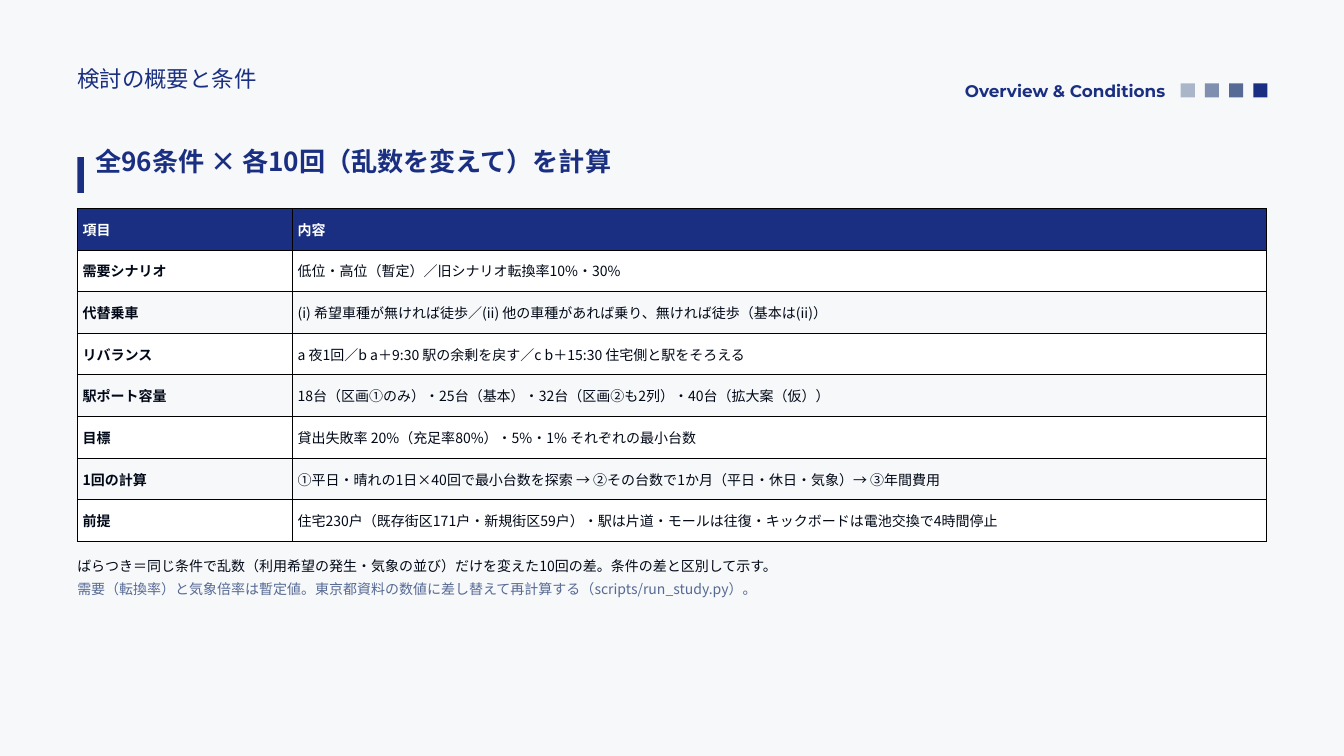
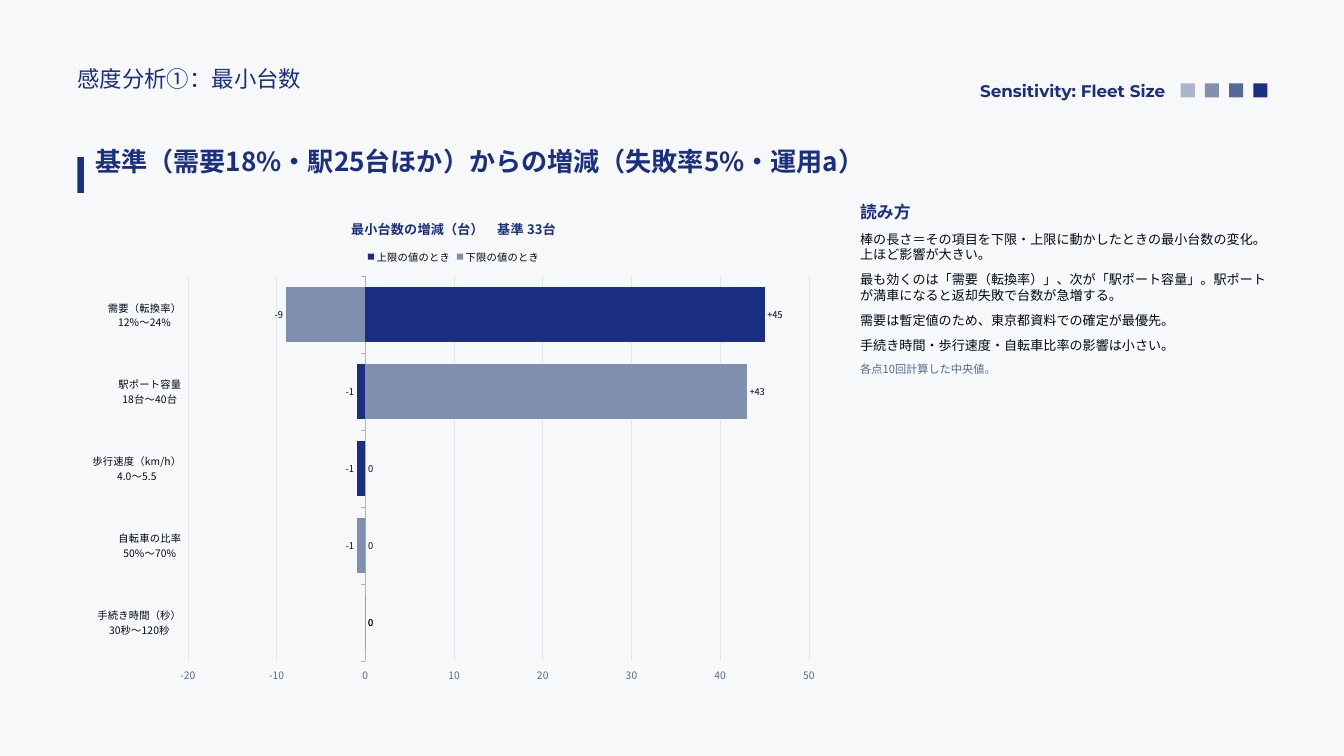
from dataclasses import dataclass
from lxml import etree
from pptx import Presentation
from pptx.chart.data import CategoryChartData
from pptx.dml.color import RGBColor
from pptx.enum.chart import (XL_CHART_TYPE, XL_LABEL_POSITION, XL_LEGEND_POSITION,
                             XL_TICK_LABEL_POSITION, XL_TICK_MARK)
from pptx.enum.shapes import MSO_SHAPE
from pptx.enum.text import MSO_ANCHOR, MSO_AUTO_SIZE, PP_ALIGN
from pptx.oxml.ns import qn
from pptx.util import Inches, Pt

RECT = MSO_SHAPE.RECTANGLE
BARS = XL_CHART_TYPE.BAR_CLUSTERED
TOP = XL_LEGEND_POSITION.TOP
LOW = XL_TICK_LABEL_POSITION.LOW
TICK = XL_TICK_MARK.OUTSIDE
END = XL_LABEL_POSITION.OUTSIDE_END
MIDDLE = MSO_ANCHOR.MIDDLE
GROW = MSO_AUTO_SIZE.SHAPE_TO_FIT_TEXT
LEFT, RIGHT = PP_ALIGN.LEFT, PP_ALIGN.RIGHT


@dataclass(frozen=True)
class Theme:
    navy: str = "1A2F81"
    slate: str = "566A95"
    steel: str = "808FB0"
    mist: str = "ABB5CA"
    grid: str = "E3E6EC"
    ink: str = "010817"
    white: str = "FFFFFF"
    paper: str = "F7F8F9"
    line: str = "000000"
    body: str = "Noto Sans CJK JP"
    label: str = "Montserrat"
    head: int = 28
    title: int = 24
    sub: int = 18
    table: int = 15
    text: int = 14
    note: int = 12
    axis: int = 11
    value: int = 10


T = Theme()
HEAD = (1.15, 0.91, 17.7, 1.96)
TABLE = (1.15, 3.1, 17.7, 4.96)
NOTES = (1.15, 8.3, 17.7, 1.8)
CHART = (1.15, 3, 11.2, 7.3)
GUIDE = (12.8, 3, 6.05, 7.2)

ROWS = [
    ("項目", "内容"),
    ("需要シナリオ", "低位・高位（暫定）／旧シナリオ転換率10%・30%"),
    ("代替乗車", "(i) 希望車種が無ければ徒歩／(ii) 他の車種があれば乗り、"
     "無ければ徒歩（基本は(ii)）"),
    ("リバランス", "a 夜1回／b a＋9:30 駅の余剰を戻す／c b＋15:30 住宅側と駅をそろえる"),
    ("駅ポート容量", "18台（区画①のみ）・25台（基本）・32台（区画②も2列）・40台（拡大案（仮））"),
    ("目標", "貸出失敗率 20%（充足率80%）・5%・1% それぞれの最小台数"),
    ("1回の計算", "①平日・晴れの1日×40回で最小台数を探索 → "
     "②その台数で1か月（平日・休日・気象）→ ③年間費用"),
    ("前提", "住宅230戸（既存街区171戸・新規街区59戸）・駅は片道・モールは往復・"
     "キックボードは電池交換で4時間停止"),
]
REMARKS = [
    ("ばらつき＝同じ条件で乱数（利用希望の発生・気象の並び）だけを変えた10回の差。"
     "条件の差と区別して示す。", T.table, T.ink, False),
    ("需要（転換率）と気象倍率は暫定値。東京都資料の数値に差し替えて再計算する"
     "（scripts/run_study.py）。", T.table, T.slate, False),
]
POINTS = [
    "棒の長さ＝その項目を下限・上限に動かしたときの最小台数の変化。上ほど影響が大きい。",
    "最も効くのは「需要（転換率）」、次が「駅ポート容量」。"
    "駅ポートが満車になると返却失敗で台数が急増する。",
    "需要は暫定値のため、東京都資料での確定が最優先。",
    "手続き時間・歩行速度・自転車比率の影響は小さい。",
]
READING = [("読み方", T.sub, T.navy, True),
           *[(point, T.text, T.ink, False) for point in POINTS],
           ("各点10回計算した中央値。", T.note, T.slate, False)]
FACTORS = ["手続き時間（秒）\n30秒〜120秒", "自転車の比率\n50%〜70%",
           "歩行速度（km/h）\n4.0〜5.5", "駅ポート容量\n18台〜40台",
           "需要（転換率）\n12%〜24%"]
SERIES = [("下限の値のとき", (0, -1, 0, 43, -9), T.steel),
          ("上限の値のとき", (0, 0, -1, -1, 45), T.navy)]


# Shared helpers
def put(obj, **vals):
    for key, val in vals.items():
        setattr(obj, key, val)


def rgb(code):
    return RGBColor.from_string(code)


def paint(fill, code):
    fill.solid()
    fill.fore_color.rgb = rgb(code)


def style(font, size, color, bold=False, name=T.body):
    put(font, size=Pt(size), bold=bold, name=name)
    font.color.rgb = rgb(color)


def stroke(line, code):
    line.color.rgb = rgb(code)
    line.width = Pt(0.75)


def pair(root):
    """Give East Asian text the same face as Latin text."""
    for latin in list(root.iter(qn("a:latin"))):
        east = etree.Element(qn("a:ea"), typeface=latin.get("typeface"))
        latin.addnext(east)


def block(slide, box, color):
    shape = slide.shapes.add_shape(RECT, *map(Inches, box))
    shape.shadow.inherit = False
    paint(shape.fill, color)
    shape.line.fill.background()


def write(slide, box, lines, name=T.body, **form):
    frame = slide.shapes.add_textbox(*map(Inches, box)).text_frame
    put(frame, word_wrap=True, auto_size=GROW, margin_left=0, margin_right=0,
        margin_top=0, margin_bottom=0)
    for i, (text, size, color, bold) in enumerate(lines):
        para = frame.add_paragraph() if i else frame.paragraphs[0]
        put(para, **form)
        run = para.add_run()
        run.text = text
        style(run.font, size, color, bold, name)


# Title, section label, squares and headline
def header(slide, box, title, label, head):
    x, y, w, h = box
    paint(slide.background.fill, T.paper)
    block(slide, (x, y + h - 0.53, 0.1, 0.53), T.navy)
    for i, color in enumerate((T.mist, T.steel, T.slate, T.navy)):
        block(slide, (x + 16.42 + 0.36 * i, y + 0.33, 0.21, 0.21), color)
    write(slide, (x + 0.27, y + 1.18, w - 0.3, 0.75),
          [(head, T.head, T.navy, True)], line_spacing=Pt(39.2))
    write(slide, (x, y, w / 2, 0.63),
          [(title, T.title, T.navy, False)], line_spacing=Pt(33.6))
    write(slide, (x + 8.88, y + 0.24, 7.31, 0.34),
          [(label, T.sub, T.navy, True)], T.label,
          alignment=RIGHT, line_spacing=Pt(25.2))


def border(cell):
    props = cell._tc.get_or_add_tcPr()
    for side in ("lnL", "lnR", "lnT", "lnB"):
        line = etree.SubElement(props, qn("a:" + side), w=str(Pt(1)))
        fill = etree.SubElement(line, qn("a:solidFill"))
        etree.SubElement(fill, qn("a:srgbClr"), val=T.line)


# Table of study conditions
def conditions(slide, box):
    table = slide.shapes.add_table(len(ROWS), 2, *map(Inches, box)).table
    for col, width in zip(table.columns, (3.2, box[2] - 3.2)):
        col.width = Inches(width)
    for r, row in enumerate(ROWS):
        table.rows[r].height = Inches(box[3] / len(ROWS))
        back = T.white if r % 2 else T.paper
        for c, text in enumerate(row):
            cell = table.cell(r, c)
            put(cell, text=text, vertical_anchor=MIDDLE,
                margin_left=Inches(0.08), margin_right=Inches(0.08),
                margin_top=Inches(0.03), margin_bottom=Inches(0.03))
            border(cell)
            paint(cell.fill, back if r else T.navy)
            para = cell.text_frame.paragraphs[0]
            para.alignment = LEFT
            style(para.runs[0].font, T.table, T.ink if r else T.white,
                  c == 0 or r == 0)


# Bar chart of fleet changes
def tornado(slide, box):
    data = CategoryChartData()
    data.categories = FACTORS
    for name, vals, _ in SERIES:
        data.add_series(name, vals)
    chart = slide.shapes.add_chart(BARS, *map(Inches, box), data).chart
    style(chart.font, T.axis, T.ink)
    chart.has_title = True
    run = chart.chart_title.text_frame.paragraphs[0].add_run()
    run.text = "最小台数の増減（台）\u3000基準 33台".replace("\u3000", "　")
    style(run.font, T.text, T.navy, True)
    chart.has_legend = True
    put(chart.legend, position=TOP, include_in_layout=False)
    style(chart.legend.font, T.axis, T.ink)

    cats, vals = chart.category_axis, chart.value_axis
    put(cats, tick_label_position=LOW, major_tick_mark=TICK,
        has_major_gridlines=False)
    style(cats.tick_labels.font, T.axis, T.ink)
    stroke(cats.format.line, T.mist)
    put(vals, minimum_scale=-20, maximum_scale=50, major_unit=10,
        major_tick_mark=TICK, has_major_gridlines=True)
    put(vals.tick_labels, number_format="0", number_format_is_linked=False)
    style(vals.tick_labels.font, T.axis, T.slate)
    vals.format.line.fill.background()
    stroke(vals.major_gridlines.format.line, T.grid)

    plot = chart.plots[0]
    put(plot, gap_width=40, overlap=100, vary_by_categories=False)
    for series, (_, _, color) in zip(plot.series, SERIES):
        series.invert_if_negative = False
        paint(series.format.fill, color)
        put(series.data_labels, show_value=True, position=END,
            number_format="+0;-0;0", number_format_is_linked=False)
        style(series.data_labels.font, T.value, T.ink)
    pair(chart.element)


def main():
    deck = Presentation()
    put(deck, slide_width=Inches(20), slide_height=Inches(11.25))
    blank = deck.slide_layouts[6]

    # Overview
    slide = deck.slides.add_slide(blank)
    header(slide, HEAD, "検討の概要と条件", "Overview & Conditions",
           "全96条件 × 各10回（乱数を変えて）を計算")
    conditions(slide, TABLE)
    write(slide, NOTES, REMARKS, space_after=Pt(6))

    # Sensitivity
    slide = deck.slides.add_slide(blank)
    header(slide, HEAD, "感度分析①：最小台数", "Sensitivity: Fleet Size",
           "基準（需要18%・駅25台ほか）からの増減（失敗率5%・運用a）")
    tornado(slide, CHART)
    write(slide, GUIDE, READING, space_after=Pt(10))

    for slide in deck.slides:
        pair(slide.element)
    deck.save("out.pptx")


if __name__ == "__main__":
    main()
